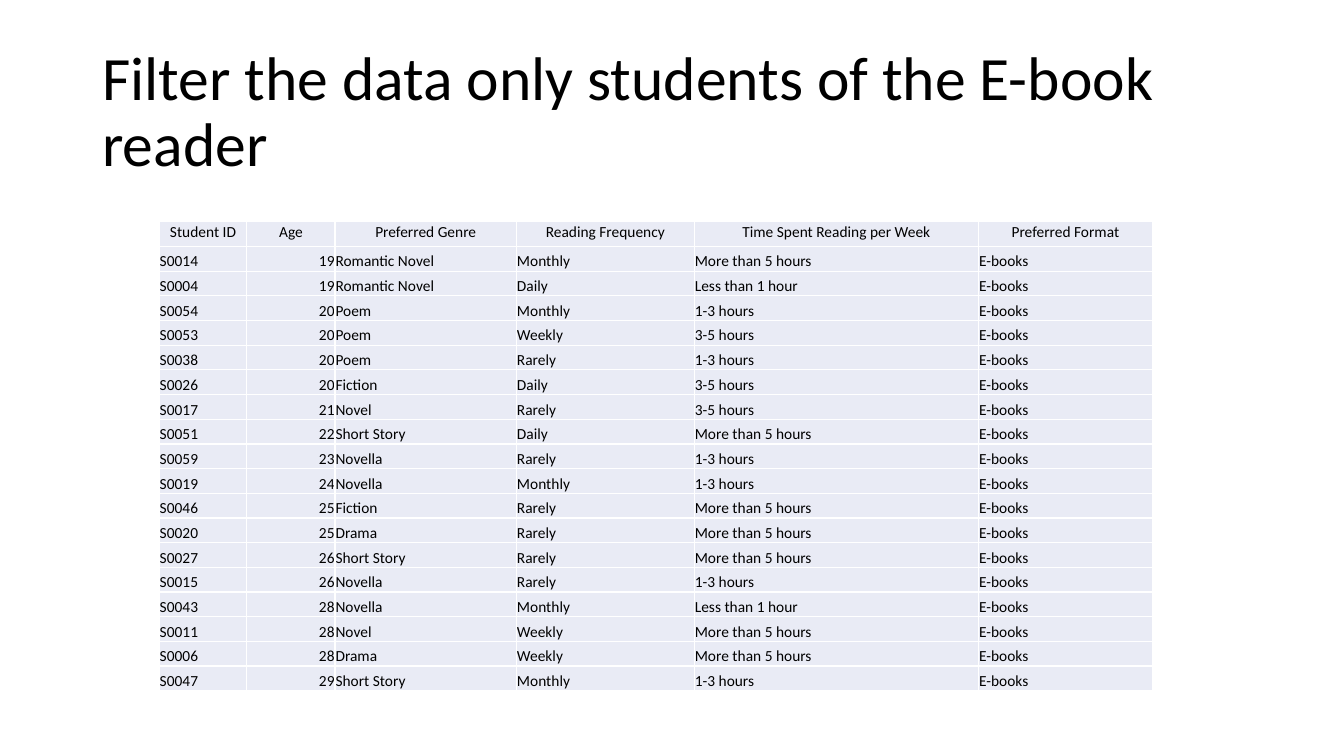
from lxml.etree import SubElement
from pptx import Presentation
from pptx.dml.color import RGBColor
from pptx.enum.text import MSO_ANCHOR, MSO_AUTO_SIZE, PP_ALIGN
from pptx.oxml.ns import qn
from pptx.util import Pt

PX = 4572  # EMU: 200 px to the inch
FONT = "Calibri"
BLACK = RGBColor(0x00, 0x00, 0x00)
WHITE = RGBColor(0xFF, 0xFF, 0xFF)
PALE_BLUE = RGBColor(0xE9, 0xEB, 0xF5)

TITLE = "Filter the data only students of the E-book reader"
COLUMNS = [
    ("Student ID", 174, PP_ALIGN.LEFT),
    ("Age", 175, PP_ALIGN.RIGHT),
    ("Preferred Genre", 360, PP_ALIGN.LEFT),
    ("Reading Frequency", 353, PP_ALIGN.LEFT),
    ("Time Spent Reading per Week", 564, PP_ALIGN.LEFT),
    ("Preferred Format", 345, PP_ALIGN.LEFT),
]
TABLE_HEIGHT = 932
FORMAT = "E-books"
UNDER_1 = "Less than 1 hour"
FROM_1_TO_3 = "1-3 hours"
FROM_3_TO_5 = "3-5 hours"
OVER_5 = "More than 5 hours"
STUDENTS = [
    ("S0014", 19, "Romantic Novel", "Monthly", OVER_5),
    ("S0004", 19, "Romantic Novel", "Daily", UNDER_1),
    ("S0054", 20, "Poem", "Monthly", FROM_1_TO_3),
    ("S0053", 20, "Poem", "Weekly", FROM_3_TO_5),
    ("S0038", 20, "Poem", "Rarely", FROM_1_TO_3),
    ("S0026", 20, "Fiction", "Daily", FROM_3_TO_5),
    ("S0017", 21, "Novel", "Rarely", FROM_3_TO_5),
    ("S0051", 22, "Short Story", "Daily", OVER_5),
    ("S0059", 23, "Novella", "Rarely", FROM_1_TO_3),
    ("S0019", 24, "Novella", "Monthly", FROM_1_TO_3),
    ("S0046", 25, "Fiction", "Rarely", OVER_5),
    ("S0020", 25, "Drama", "Rarely", OVER_5),
    ("S0027", 26, "Short Story", "Rarely", OVER_5),
    ("S0015", 26, "Novella", "Rarely", FROM_1_TO_3),
    ("S0043", 28, "Novella", "Monthly", UNDER_1),
    ("S0011", 28, "Novel", "Weekly", OVER_5),
    ("S0006", 28, "Drama", "Weekly", OVER_5),
    ("S0047", 29, "Short Story", "Monthly", FROM_1_TO_3),
]


def px(length):
    return length * PX


def add_run(paragraph, text, size):
    run = paragraph.add_run()
    run.text = text
    run.font.name = FONT
    run.font.size = Pt(size)
    run.font.color.rgb = BLACK


def set_title(slide, text):
    title = slide.shapes.title
    title.left, title.top = px(183), px(80)
    title.width, title.height = px(2300), px(290)
    frame = title.text_frame
    frame.auto_size = MSO_AUTO_SIZE.NONE
    frame.vertical_anchor = MSO_ANCHOR.MIDDLE
    paragraph = frame.paragraphs[0]
    paragraph.alignment = PP_ALIGN.LEFT
    paragraph.line_spacing = 0.9
    add_run(paragraph, text, 44)


def add_borders(cell):
    properties = cell._tc.get_or_add_tcPr()
    for side in ("a:lnL", "a:lnR", "a:lnT", "a:lnB"):
        line = SubElement(properties, qn(side), w=str(Pt(1)))
        fill = SubElement(line, qn("a:solidFill"))
        SubElement(fill, qn("a:srgbClr"), val=str(WHITE))


def fill_cell(cell, text, alignment, anchor):
    add_borders(cell)
    cell.fill.solid()
    cell.fill.fore_color.rgb = PALE_BLUE
    cell.margin_left = cell.margin_right = cell.margin_top = px(1)
    cell.margin_bottom = 0
    cell.vertical_anchor = anchor
    paragraph = cell.text_frame.paragraphs[0]
    paragraph.alignment = alignment
    add_run(paragraph, text, 11)


def add_student_table(slide):
    row_count = len(STUDENTS) + 1
    width = sum(column_width for _, column_width, _ in COLUMNS)
    table = slide.shapes.add_table(
        row_count, len(COLUMNS), px(316), px(440), px(width), px(TABLE_HEIGHT)
    ).table
    table.first_row = False
    table.horz_banding = False
    for row in table.rows:
        row.height = px(TABLE_HEIGHT) // row_count
    for index, (heading, column_width, alignment) in enumerate(COLUMNS):
        table.columns[index].width = px(column_width)
        fill_cell(table.cell(0, index), heading, PP_ALIGN.CENTER, MSO_ANCHOR.TOP)
        for row_index, student in enumerate(STUDENTS, start=1):
            value = (*student, FORMAT)[index]
            fill_cell(table.cell(row_index, index), str(value), alignment,
                      MSO_ANCHOR.BOTTOM)


def main():
    presentation = Presentation()
    presentation.slide_width = px(2667)
    presentation.slide_height = px(1500)
    title_only = presentation.slide_layouts[5]
    slide = presentation.slides.add_slide(title_only)
    set_title(slide, TITLE)
    add_student_table(slide)
    presentation.save("out.pptx")


if __name__ == "__main__":
    main()
